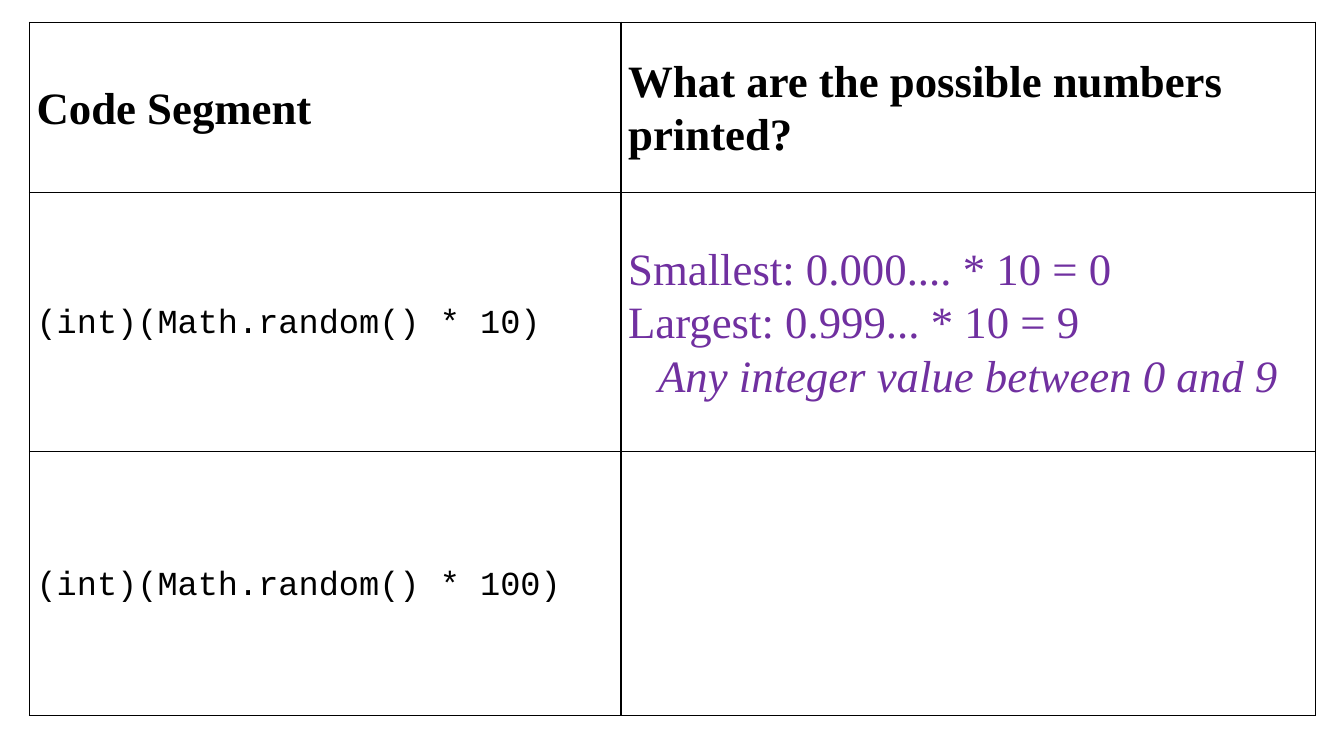
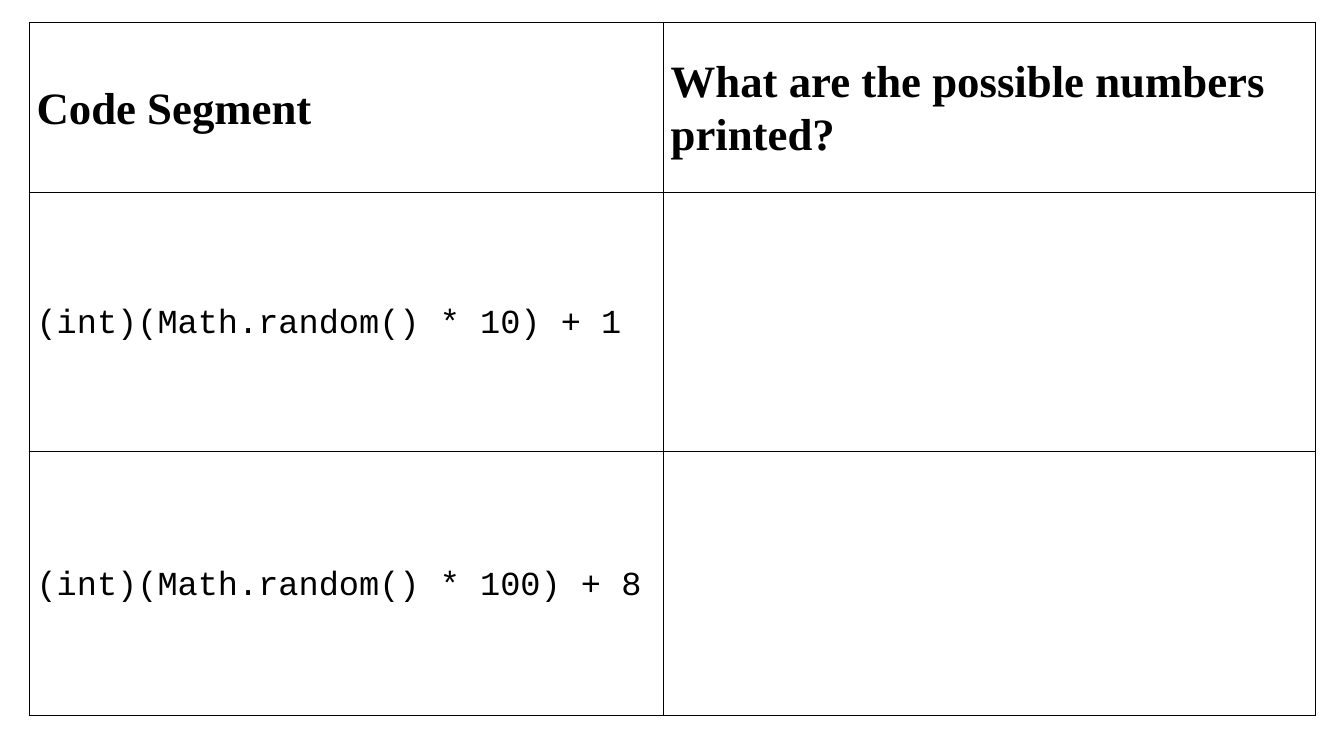
from lxml import etree
from pptx import Presentation
from pptx.dml.color import RGBColor
from pptx.enum.text import MSO_ANCHOR, PP_ALIGN
from pptx.oxml.ns import qn
from pptx.util import Cm, Pt

MIDDLE = MSO_ANCHOR.MIDDLE
LEFT, CENTER = PP_ALIGN.LEFT, PP_ALIGN.CENTER

# Content: each cell is a list of (text, style) paragraphs
HEADINGS = [
    [("Code Segment", "heading")],
    [("What are the possible numbers printed?", "heading")],
]
SLIDES = [
    {
        "code_width": 14.91,
        "rows": [
            [
                [("(int)(Math.random() * 10)", "code")],
                [
                    ("Smallest: 0.000.... * 10 = 0", "answer"),
                    ("Largest: 0.999... * 10 = 9", "answer"),
                    ("Any integer value between 0 and 9", "summary"),
                ],
            ],
            [[("(int)(Math.random() * 100)", "code")], []],
        ],
    },
    {
        "code_width": 15.98,
        "rows": [
            [[("(int)(Math.random() * 10) + 1", "code")], []],
            [[("(int)(Math.random() * 100) + 8", "code")], []],
        ],
    },
]

# Shared look
BLACK, PURPLE = "000000", "7030A0"
SERIF, MONO = "Times New Roman", "Courier New"
STYLES = {
    "heading": {"font": {"name": SERIF, "size": Pt(32), "bold": True},
                "color": BLACK, "spacing": 1.07, "align": LEFT},
    "code": {"font": {"name": MONO, "size": Pt(24)},
             "color": BLACK, "spacing": 1.15, "align": LEFT},
    "answer": {"font": {"name": SERIF, "size": Pt(32)},
               "color": PURPLE, "spacing": 1.07, "align": LEFT},
    "summary": {"font": {"name": SERIF, "size": Pt(32), "italic": True},
                "color": PURPLE, "spacing": 1.07, "align": CENTER},
}
CELL_FORMAT = {
    "vertical_anchor": MIDDLE,
    "margin_left": Cm(0.18),
    "margin_right": Cm(0.18),
    "margin_top": 0,
    "margin_bottom": 0,
}
TABLE_LEFT, TABLE_TOP, TABLE_WIDTH = 0.74, 0.56, 32.41
ROW_HEIGHTS = [4.29, 6.53, 6.65]


def rgb(color):
    return RGBColor.from_string(color)


def set_attributes(target, values):
    for name, value in values.items():
        setattr(target, name, value)


def add_borders(cell):
    properties = cell._tc.get_or_add_tcPr()
    for side in ("lnL", "lnR", "lnT", "lnB"):
        line = etree.SubElement(properties, qn(f"a:{side}"), w=str(Pt(1)))
        fill = etree.SubElement(line, qn("a:solidFill"))
        etree.SubElement(fill, qn("a:srgbClr"), val=BLACK)


def fill_cell(cell, paragraphs):
    set_attributes(cell, CELL_FORMAT)
    add_borders(cell)
    cell.fill.background()
    frame = cell.text_frame
    for index, (text, style_name) in enumerate(paragraphs):
        style = STYLES[style_name]
        paragraph = frame.add_paragraph() if index else frame.paragraphs[0]
        paragraph.alignment = style["align"]
        paragraph.line_spacing = style["spacing"]
        run = paragraph.add_run()
        run.text = text
        set_attributes(run.font, style["font"])
        run.font.color.rgb = rgb(style["color"])


def add_exercise(slide, code_width, rows):
    content = [HEADINGS] + rows
    widths = [code_width, TABLE_WIDTH - code_width]
    table = slide.shapes.add_table(
        len(content), len(widths), Cm(TABLE_LEFT), Cm(TABLE_TOP),
        Cm(TABLE_WIDTH), Cm(sum(ROW_HEIGHTS))).table
    set_attributes(table, {"first_row": False, "horz_banding": False})
    for column, width in zip(table.columns, widths):
        column.width = Cm(width)
    for row, height, cells in zip(table.rows, ROW_HEIGHTS, content):
        row.height = Cm(height)
        for cell, paragraphs in zip(row.cells, cells):
            fill_cell(cell, paragraphs)


def main():
    deck = Presentation()
    deck.slide_width, deck.slide_height = Cm(33.87), Cm(19.05)
    blank = deck.slide_layouts[6]
    for exercise in SLIDES:
        add_exercise(deck.slides.add_slide(blank), **exercise)
    deck.save("out.pptx")


if __name__ == "__main__":
    main()
